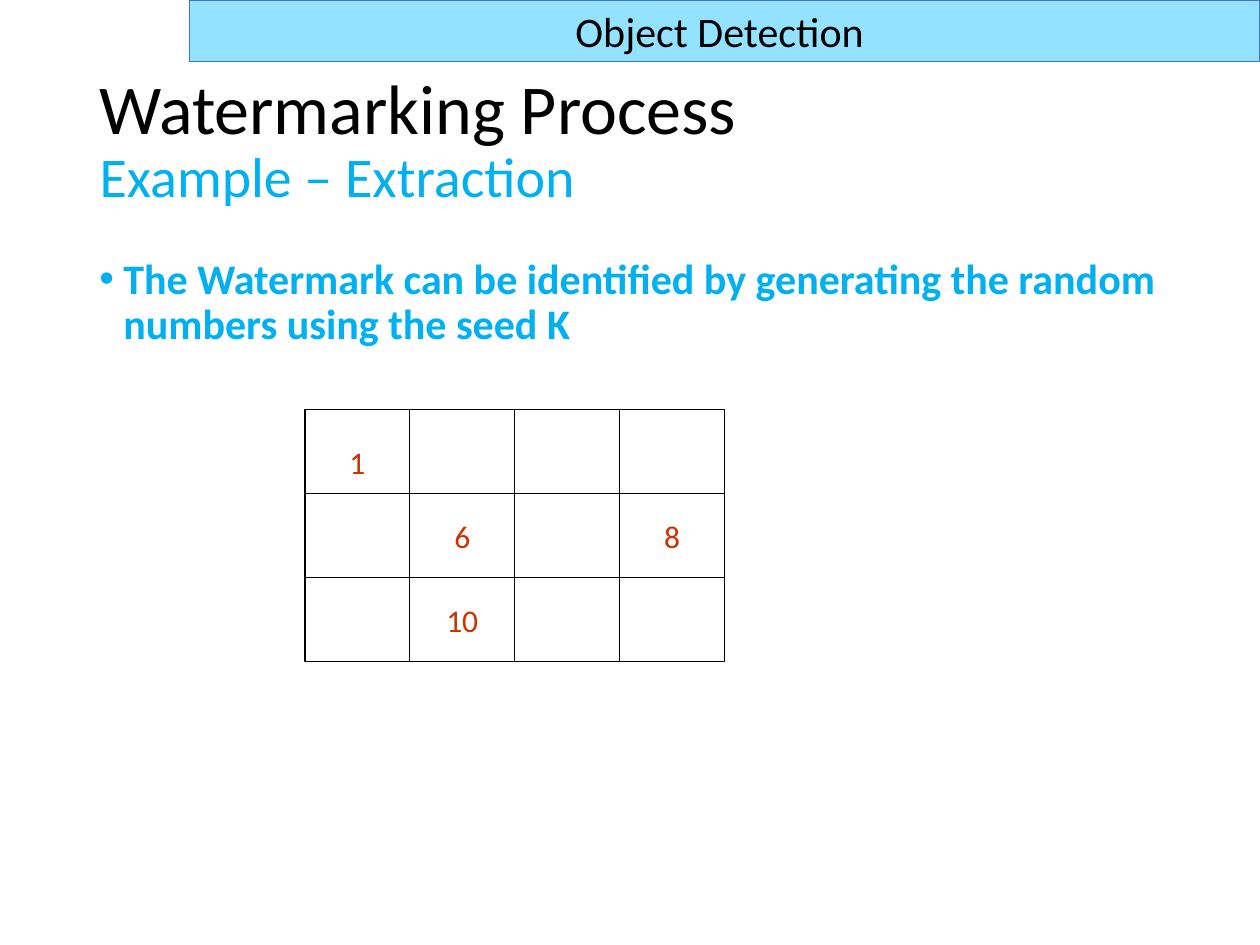
from copy import deepcopy
from dataclasses import dataclass

from lxml import etree
from pptx import Presentation
from pptx.dml.color import RGBColor
from pptx.enum.shapes import MSO_SHAPE as Shape
from pptx.enum.text import MSO_ANCHOR as Anchor, PP_ALIGN as Align
from pptx.oxml.ns import qn
from pptx.util import Inches, Pt


@dataclass(frozen=True)
class Theme:
    """Colours, font and type sizes of the slide."""
    font: str = "Calibri"
    black: str = "000000"
    white: str = "FFFFFF"
    accent: str = "00B0F0"
    number: str = "CC3300"
    banner: str = "93E2FF"
    banner_line: str = "4472C4"
    title_size: int = 40
    subtitle_size: int = 32
    body_size: int = 24
    cell_size: int = 18


THEME = Theme()
MARKED_CELLS = {1, 6, 8, 10}


def write(para, text, size, color, bold=False, align=Align.LEFT, spacing=1.0):
    """Append formatted text to a paragraph and return its span."""
    para.alignment = align
    para.line_spacing = spacing
    para.space_before = Pt(0)
    span = para.add_run()
    span.text = text
    span.font.name = THEME.font
    span.font.size = Pt(size)
    span.font.bold = bold
    span.font.color.rgb = RGBColor.from_string(color)
    return span


def add_rectangle(page, box, fill, line, width):
    """Draw a flat outlined rectangle and return it."""
    shape = page.shapes.add_shape(Shape.RECTANGLE, *map(Inches, box))
    shape.shadow.inherit = False
    shape.fill.solid()
    shape.fill.fore_color.rgb = RGBColor.from_string(fill)
    shape.line.color.rgb = RGBColor.from_string(line)
    shape.line.width = Pt(width)
    shape.text_frame.vertical_anchor = Anchor.MIDDLE
    return shape


def add_title(page, box):
    """Place the two-line heading in the title placeholder."""
    title = page.shapes.title
    title.left, title.top, title.width, title.height = map(Inches, box)
    frame = title.text_frame
    frame.word_wrap = True
    frame.vertical_anchor = Anchor.MIDDLE
    para = frame.paragraphs[0]
    heading = write(para, "Watermarking Process", THEME.title_size,
                    THEME.black, spacing=0.9)
    para.add_line_break()
    para._p[-1].append(deepcopy(heading._r.rPr))
    write(para, "Example – Extraction", THEME.subtitle_size,
          THEME.accent, spacing=0.9)


def add_body(page, box):
    """Place the bulleted statement."""
    frame = page.shapes.add_textbox(*map(Inches, box)).text_frame
    frame.word_wrap = True
    para = frame.paragraphs[0]
    properties = para._p.get_or_add_pPr()
    indent = Inches(0.19)
    properties.set("marL", str(indent))
    properties.set("indent", str(-indent))
    etree.SubElement(properties, qn("a:buFont"), typeface="Arial")
    etree.SubElement(properties, qn("a:buChar"), char="•")
    write(para, "The Watermark can be identified by generating the random "
          "numbers using the seed K", THEME.body_size, THEME.accent,
          bold=True, spacing=0.9)


def add_grid(page, box, rows=3, columns=4, first_height=0.83):
    """Draw the numbered grid, whose first cell runs under the next row."""
    left, top, width, height = box
    cell_width, cell_height = width / columns, height / rows
    for index in range(rows * columns):
        row, column = divmod(index, columns)
        cell_box = (left + column * cell_width, top + row * cell_height,
                    cell_width, cell_height if index else first_height)
        cell = add_rectangle(page, cell_box, THEME.white, THEME.black, 0.75)
        if index + 1 in MARKED_CELLS:
            cell.text_frame.word_wrap = False
            write(cell.text_frame.paragraphs[0], str(index + 1),
                  THEME.cell_size, THEME.number, align=Align.CENTER)


def add_banner(page, box):
    """Draw the topic banner along the top edge."""
    banner = add_rectangle(page, box, THEME.banner, THEME.banner_line, 0.5)
    write(banner.text_frame.paragraphs[0], "Object Detection ",
          THEME.body_size, THEME.black, align=Align.CENTER)


def main():
    """Build and save the slide."""
    deck = Presentation()
    deck.slide_width, deck.slide_height = Inches(10), Inches(7.5)
    page = deck.slides.add_slide(deck.slide_layouts[5])
    add_title(page, (0.69, 0.4, 8.62, 1.45))
    add_body(page, (0.69, 2, 8.62, 4.76))
    add_grid(page, (2.42, 3.25, 3.33, 2))
    add_banner(page, (1.5, 0, 8.5, 0.49))
    deck.save("out.pptx")


if __name__ == "__main__":
    main()
